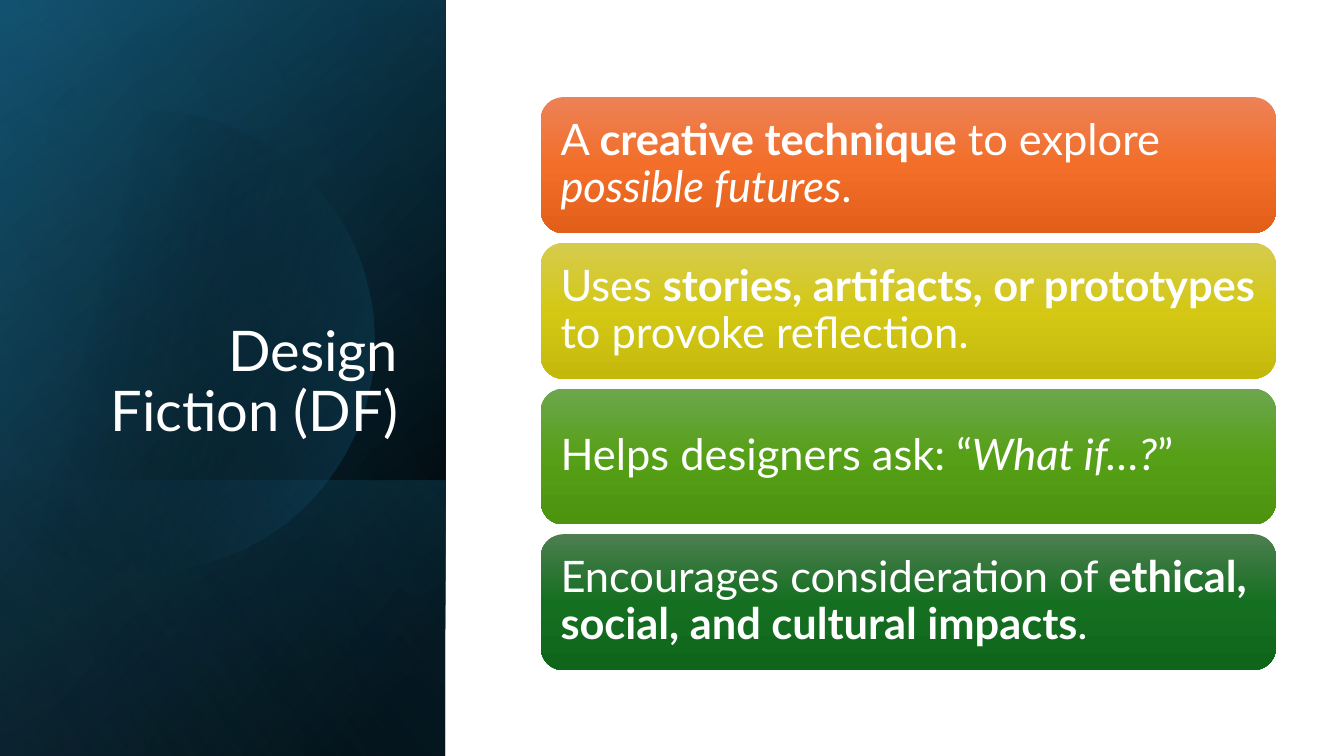
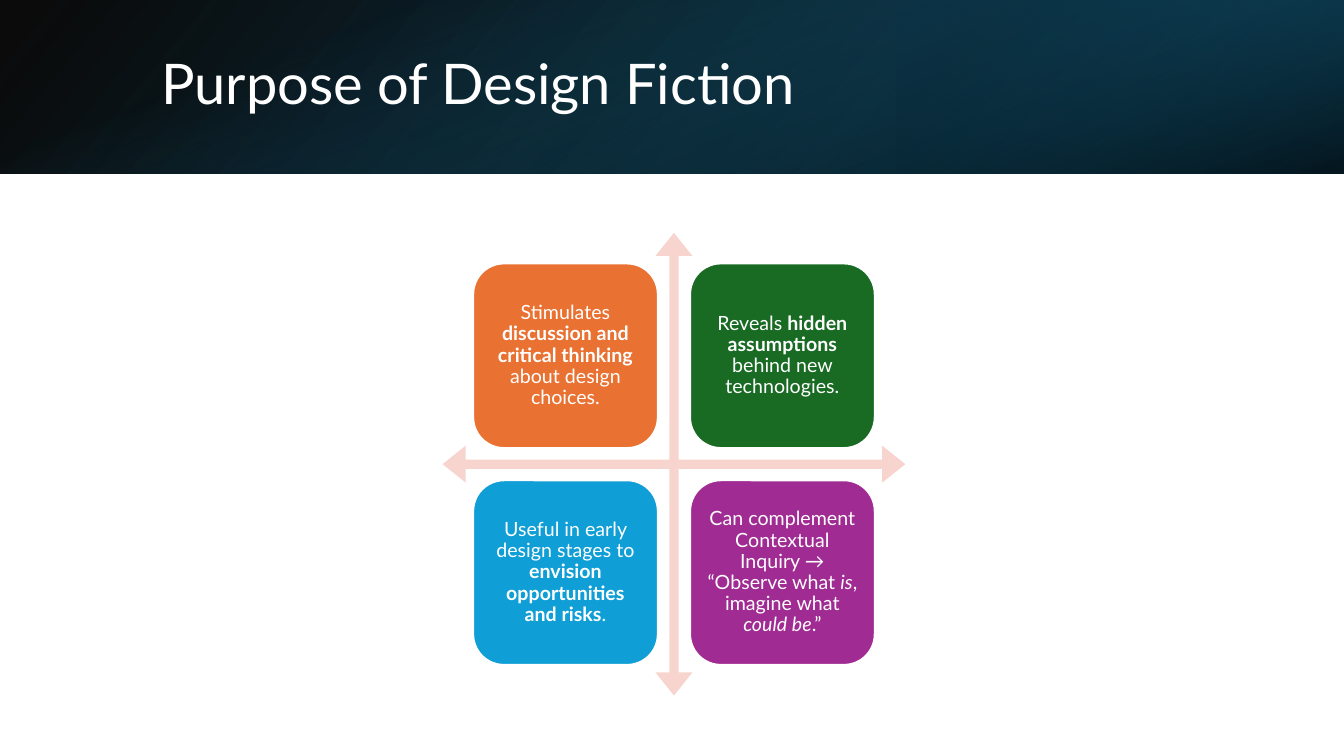
import dataclasses

import lxml.etree
import pptx
import pptx.dml.color
import pptx.enum.shapes
import pptx.enum.text
import pptx.oxml.ns
import pptx.util

RGB = pptx.dml.color.RGBColor
SHAPE = pptx.enum.shapes.MSO_SHAPE
ALIGN = pptx.enum.text.PP_ALIGN
ANCHOR = pptx.enum.text.MSO_ANCHOR
qn = pptx.oxml.ns.qn

FONT = "Lato"
WHITE = RGB(0xFF, 0xFF, 0xFF)
BLACK = RGB(0x00, 0x00, 0x00)
NAVY = RGB(0x10, 0x48, 0x62)
DEEP_NAVY = RGB(0x0B, 0x30, 0x41)
TEAL = RGB(0x15, 0x60, 0x82)
SKY = RGB(0x46, 0xB1, 0xE1)
PINK = RGB(0xF7, 0xD5, 0xCE)
ORANGE = RGB(0xE9, 0x71, 0x32)
GREEN = RGB(0x19, 0x6B, 0x24)
BLUE = RGB(0x0F, 0x9E, 0xD5)
PURPLE = RGB(0xA0, 0x2B, 0x93)
ORANGE_FADE = (RGB(0xED, 0x82, 0x57), RGB(0xF2, 0x6E, 0x29), RGB(0xE2, 0x5F, 0x1A))
YELLOW_FADE = (RGB(0xD5, 0xCB, 0x4E), RGB(0xD4, 0xC8, 0x15), RGB(0xC4, 0xB9, 0x0B))
LIME_FADE = (RGB(0x6D, 0xA6, 0x4E), RGB(0x56, 0xA0, 0x17), RGB(0x4C, 0x93, 0x0F))
GREEN_FADE = (RGB(0x4D, 0x7E, 0x50), RGB(0x15, 0x6F, 0x21), RGB(0x0F, 0x66, 0x1B))

TECHNIQUES = [
    (ORANGE_FADE, [("A ", ""), ("creative technique", "bold"), (" to explore ", ""),
                   ("possible futures", "italic"), (".", "")]),
    (YELLOW_FADE, [("Uses ", ""), ("stories, artifacts, or prototypes", "bold"),
                   (" to provoke reflection.", "")]),
    (LIME_FADE, [("Helps designers ask: “", ""), ("What if…?", "italic"), ("”", "")]),
    (GREEN_FADE, [("Encourages consideration of ", ""),
                  ("ethical, social, and cultural impacts", "bold"), (".", "")]),
]
PURPOSES = [
    (ORANGE, [("Stimulates ", ""), ("discussion and critical thinking", "bold"),
              (" about design choices.", "")]),
    (GREEN, [("Reveals ", ""), ("hidden assumptions", "bold"),
             (" behind new technologies.", "")]),
    (BLUE, [("Useful in early design stages to ", ""),
            ("envision opportunities and risks", "bold"), (".", "")]),
    (PURPLE, [("Can complement Contextual Inquiry → “Observe what ", ""), ("is", "italic"),
              (", imagine what ", ""), ("could be", "italic"), (".”", "")]),
]
DISC_START = (33.7, 14.7)
DISC_CURVES = [
    ((55.7, 14.9), (75.8, 23.6), (82.1, 36.7)),
    ((90, 52.9), (74.2, 69.7), (46.8, 74.4)),
    ((29.6, 77.3), (12, 74.8), (0, 68.8)),
    ((0, 53), (0, 37), (0, 21.5)),
    ((5.2, 18.9), (11.3, 17.1), (18.1, 15.9)),
    ((23.3, 15.1), (28.5, 14.7), DISC_START),
]


@dataclasses.dataclass
class Box:
    """A rectangle whose portions are given as percentages of it."""
    left: float
    top: float
    width: float
    height: float

    def point(self, across, down):
        """Return the position at the given percentages."""
        return (round(self.left + self.width * across / 100),
                round(self.top + self.height * down / 100))

    def portion(self, left, top, width, height):
        """Return an inner box."""
        return Box(*self.point(left, top),
                   round(self.width * width / 100), round(self.height * height / 100))

    def grid(self, columns, rows, gap):
        """Return equal cells, row by row, with gaps in percent."""
        width = (100 - gap * (columns - 1)) / columns
        height = (100 - gap * (rows - 1)) / rows
        return [self.portion(column * (width + gap), row * (height + gap), width, height)
                for row in range(rows) for column in range(columns)]

    def place(self):
        """Return left, top, width and height."""
        return self.left, self.top, self.width, self.height

    def quarter_turned(self):
        """Return the frame that fills this box after a quarter turn."""
        shift = (self.width - self.height) // 2
        return Box(self.left + shift, self.top - shift, self.height, self.width)


def fill_gradient(shape, angle, stops):
    """Fill a shape with (position, colour, opacity) stops, angle clockwise."""
    shape.fill.gradient()
    shape.fill.gradient_angle = (360 - angle) % 360
    stop_list = shape.element.spPr.find(qn("a:gradFill")).find(qn("a:gsLst"))
    for old_stop in list(stop_list):
        stop_list.remove(old_stop)
    for position, colour, opacity in stops:
        stop = lxml.etree.SubElement(stop_list, qn("a:gs"), pos=str(position * 1000))
        tint = lxml.etree.SubElement(stop, qn("a:srgbClr"), val=str(colour))
        if opacity < 100:
            lxml.etree.SubElement(tint, qn("a:alpha"), val=str(opacity * 1000))


def add_plain(page, kind, box):
    """Add a preset shape without line or shadow."""
    shape = page.shapes.add_shape(kind, *box.place())
    shape.shadow.inherit = False
    shape.line.fill.background()
    return shape


def add_veil(page, box, angle, stops, turn=90, flip=True):
    """Cover a box with a turned gradient rectangle."""
    frame = box.quarter_turned() if turn == 90 else box
    veil = add_plain(page, SHAPE.RECTANGLE, frame)
    veil.rotation = turn
    if flip:
        veil.element.spPr.get_or_add_xfrm().set("flipH", "1")
    fill_gradient(veil, angle, stops)


def add_disc(page, box):
    """Draw the pale disc cut off by the left edge of the panel."""
    points = []
    start = DISC_START
    for first, second, end in DISC_CURVES:
        for step in range(1, 21):
            t = step / 20
            weights = ((1 - t) ** 3, 3 * t * (1 - t) ** 2, 3 * t * t * (1 - t), t ** 3)
            corners = (start, first, second, end)
            points.append(box.point(*(sum(weight * corner[axis] for weight, corner
                                          in zip(weights, corners)) for axis in (0, 1))))
        start = end
    builder = page.shapes.build_freeform(*box.point(*DISC_START))
    builder.add_line_segments(points)
    disc = builder.convert_to_shape()
    disc.shadow.inherit = False
    disc.line.fill.background()
    fill_gradient(disc, 14, [(29, BLACK, 0), (100, TEAL, 43)])


def style_span(span, size, style=""):
    """Give a run the deck's font."""
    span.font.name = FONT
    span.font.size = pptx.util.Pt(size)
    span.font.color.rgb = WHITE
    span.font.bold = style == "bold"
    span.font.italic = style == "italic"


def set_title(page, box, text, align, anchor):
    """Place the title placeholder above the backdrop."""
    title = page.shapes.title
    title.left, title.top, title.width, title.height = box.place()
    frame = title.text_frame
    frame.text = text
    frame.word_wrap = True
    frame.auto_size = pptx.enum.text.MSO_AUTO_SIZE.NONE
    frame.vertical_anchor = anchor
    para = frame.paragraphs[0]
    para.alignment = align
    para.line_spacing = 0.9
    style_span(para.runs[0], 40)
    title.element.getparent().append(title.element)


def add_card(page, box, spans, size, inset, align):
    """Add a rounded card with mixed-style text and return it."""
    card = add_plain(page, SHAPE.ROUNDED_RECTANGLE, box)
    frame = card.text_frame
    frame.word_wrap = True
    frame.vertical_anchor = ANCHOR.MIDDLE
    margin = pptx.util.Inches(inset)
    frame.margin_left = frame.margin_right = margin
    frame.margin_top = frame.margin_bottom = margin
    para = frame.paragraphs[0]
    para.alignment = align
    para.line_spacing = 0.9
    for text, style in spans:
        span = para.add_run()
        span.text = text
        style_span(span, size, style)
    return card


def add_side_panel(page, box, text):
    """Draw the dark left panel with its title."""
    add_veil(page, box, 50, [(8, BLACK, 100), (100, NAVY, 100)])
    add_veil(page, box, 30, [(0, BLACK, 0), (99, TEAL, 46)])
    add_veil(page, box.portion(0, 63.5, 100, 36.5), 130, [(2, TEAL, 29), (100, BLACK, 30)])
    add_disc(page, box)
    add_veil(page, box, 120, [(0, BLACK, 0), (99, SKY, 11)])
    set_title(page, box.portion(14.5, 24.5, 77.1, 34.9), text, ALIGN.RIGHT, ANCHOR.BOTTOM)


def add_top_band(page, box, text):
    """Draw the dark top band with its title."""
    add_veil(page, box, 140, [(0, BLACK, 96), (100, NAVY, 100)], turn=0)
    add_veil(page, box.portion(66.7, 0, 33.3, 100), 320,
             [(19, DEEP_NAVY, 68), (100, TEAL, 79)], turn=180)
    add_veil(page, box, 340, [(23, TEAL, 0), (99, BLACK, 74)], flip=False)
    set_title(page, box.portion(11.25, 22.1, 82.35, 55.8), text, ALIGN.LEFT, ANCHOR.MIDDLE)


def add_card_stack(page, box, cards):
    """Stack gradient cards in one column."""
    for cell, (fade, spans) in zip(box.grid(1, len(cards), 1.7), cards):
        card = add_card(page, cell, spans, 31, 0.13, ALIGN.LEFT)
        fill_gradient(card, 90, [(50 * index, colour, 100)
                                 for index, colour in enumerate(fade)])


def add_matrix(page, box, cards):
    """Set four cards around a four-way arrow."""
    cross = add_plain(page, SHAPE.QUAD_ARROW, box)
    cross.fill.solid()
    cross.fill.fore_color.rgb = PINK
    for index, share in enumerate((0.02, 0.04, 0.05)):
        cross.adjustments[index] = share
    cells = box.portion(6.6, 6.6, 86.8, 86.8).grid(2, 2, 8)
    for cell, (colour, spans) in zip(cells, cards):
        card = add_card(page, cell, spans, 14, 0.06, ALIGN.CENTER)
        card.fill.solid()
        card.fill.fore_color.rgb = colour
        card.line.color.rgb = WHITE
        card.line.width = pptx.util.Pt(1.5)


def main():
    """Build and save the deck."""
    deck = pptx.Presentation()
    deck.slide_width = pptx.util.Inches(13.33)
    deck.slide_height = pptx.util.Inches(7.5)
    whole = Box(0, 0, deck.slide_width, deck.slide_height)
    title_only = deck.slide_layouts[5]

    page = deck.slides.add_slide(title_only)
    add_side_panel(page, whole.portion(0, 0, 33.15, 100), "Design Fiction (DF)")
    add_card_stack(page, whole.portion(40.24, 12.85, 54.7, 75.8), TECHNIQUES)

    page = deck.slides.add_slide(title_only)
    add_top_band(page, whole.portion(0, 0, 100, 22.95), "Purpose of Design Fiction")
    add_matrix(page, whole.portion(32.93, 30.8, 34.43, 61.2), PURPOSES)

    deck.save("out.pptx")


if __name__ == "__main__":
    main()
